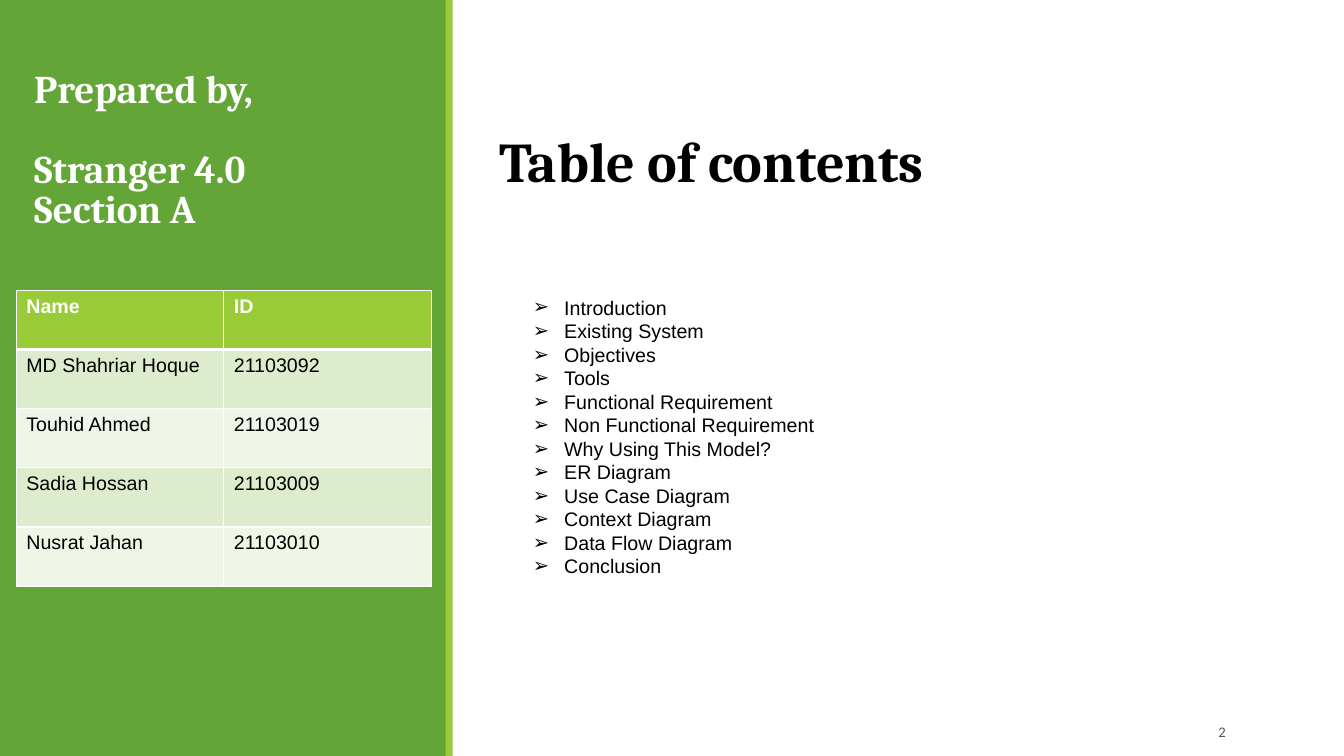
from dataclasses import dataclass

from lxml.etree import SubElement
from pptx import Presentation
from pptx.dml.color import RGBColor
from pptx.enum.shapes import MSO_SHAPE as Preset
from pptx.enum.text import MSO_ANCHOR as Anchor, PP_ALIGN as Align
from pptx.oxml.ns import qn
from pptx.util import Cm, Pt

COLORS = {
    "green": "63A537", "lime": "99CB38", "white": "FFFFFF", "black": "000000",
    "slate": "455F51", "band_dark": "DEECCE", "band_light": "EFF6E8",
}
PAGE_WIDTH, PAGE_HEIGHT = 33.87, 19.05
ROW_HEIGHT, COLUMN_WIDTH = 1.49, 5.23
BULLET_INDENT = 0.79


@dataclass
class Area:
    left: float
    top: float
    width: float
    height: float

    def lengths(self) -> tuple:
        return Cm(self.left), Cm(self.top), Cm(self.width), Cm(self.height)


@dataclass
class Member:
    name: str
    number: str


MEMBERS = [
    Member("MD Shahriar Hoque", "21103092"),
    Member("Touhid Ahmed", "21103019"),
    Member("Sadia Hossan", "21103009"),
    Member("Nusrat Jahan", "21103010"),
]
TOPICS = [
    "Introduction", "Existing System", "Objectives", "Tools",
    "Functional Requirement", "Non Functional Requirement",
    "Why Using This Model?", "ER Diagram", "Use Case Diagram",
    "Context Diagram", "Data Flow Diagram", "Conclusion",
]


def rgb(color: str) -> RGBColor:
    return RGBColor.from_string(COLORS[color])


def write(para, text: str, *, size: float = 14, font: str = "Arial",
          color: str = "black", bold: bool = False, align=Align.LEFT) -> None:
    """Fill a paragraph with one formatted span."""
    para.alignment = align
    span = para.add_run()
    span.text = text
    span.font.size, span.font.name, span.font.bold = Pt(size), font, bold
    span.font.color.rgb = rgb(color)


def add_text(page, area: Area, lines: list[str], *, anchor=Anchor.TOP, **style) -> list:
    """Add a text box with one paragraph per line and return the paragraphs."""
    frame = page.shapes.add_textbox(*area.lengths()).text_frame
    frame.word_wrap = True
    frame.vertical_anchor = anchor
    for index, line in enumerate(lines):
        para = frame.add_paragraph() if index else frame.paragraphs[0]
        write(para, line, **style)
    return list(frame.paragraphs)


def add_band(page, area: Area, color: str) -> None:
    band = page.shapes.add_shape(Preset.RECTANGLE, *area.lengths())
    band.shadow.inherit = False
    band.fill.solid()
    band.fill.fore_color.rgb = rgb(color)
    band.line.fill.background()


def add_bullet(para) -> None:
    props = para._p.get_or_add_pPr()
    props.set("marL", str(Cm(BULLET_INDENT)))
    props.set("indent", str(-Cm(BULLET_INDENT)))
    color = SubElement(props, qn("a:buClr"))
    SubElement(color, qn("a:srgbClr"), val=COLORS["black"])
    SubElement(props, qn("a:buFont"), typeface="Arial")
    SubElement(props, qn("a:buChar"), char="➢")


def paint_cell(cell, fill: str, bottom: float) -> None:
    """Draw white borders, then the fill, in the order the format requires."""
    props = cell._tc.get_or_add_tcPr()
    for side, width in (("L", 1), ("R", 1), ("T", 1), ("B", bottom)):
        border = SubElement(props, qn(f"a:ln{side}"), w=str(Pt(width)))
        paint = SubElement(border, qn("a:solidFill"))
        SubElement(paint, qn("a:srgbClr"), val=COLORS["white"])
    cell.fill.solid()
    cell.fill.fore_color.rgb = rgb(fill)


def add_members(page, left: float, top: float) -> None:
    rows = [Member("Name", "ID"), *MEMBERS]
    area = Area(left, top, 2 * COLUMN_WIDTH, len(rows) * ROW_HEIGHT)
    table = page.shapes.add_table(len(rows), 2, *area.lengths()).table
    table.horz_banding = False
    for column in table.columns:
        column.width = Cm(COLUMN_WIDTH)
    for index, member in enumerate(rows):
        table.rows[index].height = Cm(ROW_HEIGHT)
        header = index == 0
        fill = "lime" if header else ("band_light", "band_dark")[index % 2]
        for place, text in enumerate((member.name, member.number)):
            cell = table.cell(index, place)
            write(cell.text_frame.paragraphs[0], text, bold=header,
                  color="white" if header else "black")
            paint_cell(cell, fill, bottom=3 if header else 1)


def main() -> None:
    deck = Presentation()
    deck.slide_width, deck.slide_height = Cm(PAGE_WIDTH), Cm(PAGE_HEIGHT)
    page = deck.slides.add_slide(deck.slide_layouts[6])

    # Side panel
    add_band(page, Area(0, 0, 11.25, PAGE_HEIGHT), "green")
    add_band(page, Area(11.23, 0, 0.18, PAGE_HEIGHT), "lime")

    # Team and its members
    team = add_text(page, Area(0.61, 1.68, 8.89, 6.35),
                    ["Prepared by,", "Stranger 4.0", "Section A"],
                    size=28, font="Cambria", color="white", bold=True)
    for para in team:
        para.line_spacing = 0.85
    team[0].space_after = Pt(28.5)
    add_members(page, 0.41, 7.32)

    # Contents
    add_text(page, Area(12.34, 3.07, 14.07, 1.96), ["Table of contents"],
             size=40, font="Cambria", bold=True)
    for para in add_text(page, Area(13.18, 7.32, 17.96, 7.44), TOPICS):
        add_bullet(para)

    # Page number
    add_text(page, Area(27.51, 17.93, 3.63, 1.02), ["2"], anchor=Anchor.MIDDLE,
             size=10.5, font="Calibri", color="slate", align=Align.RIGHT)

    deck.save("out.pptx")


if __name__ == "__main__":
    main()
